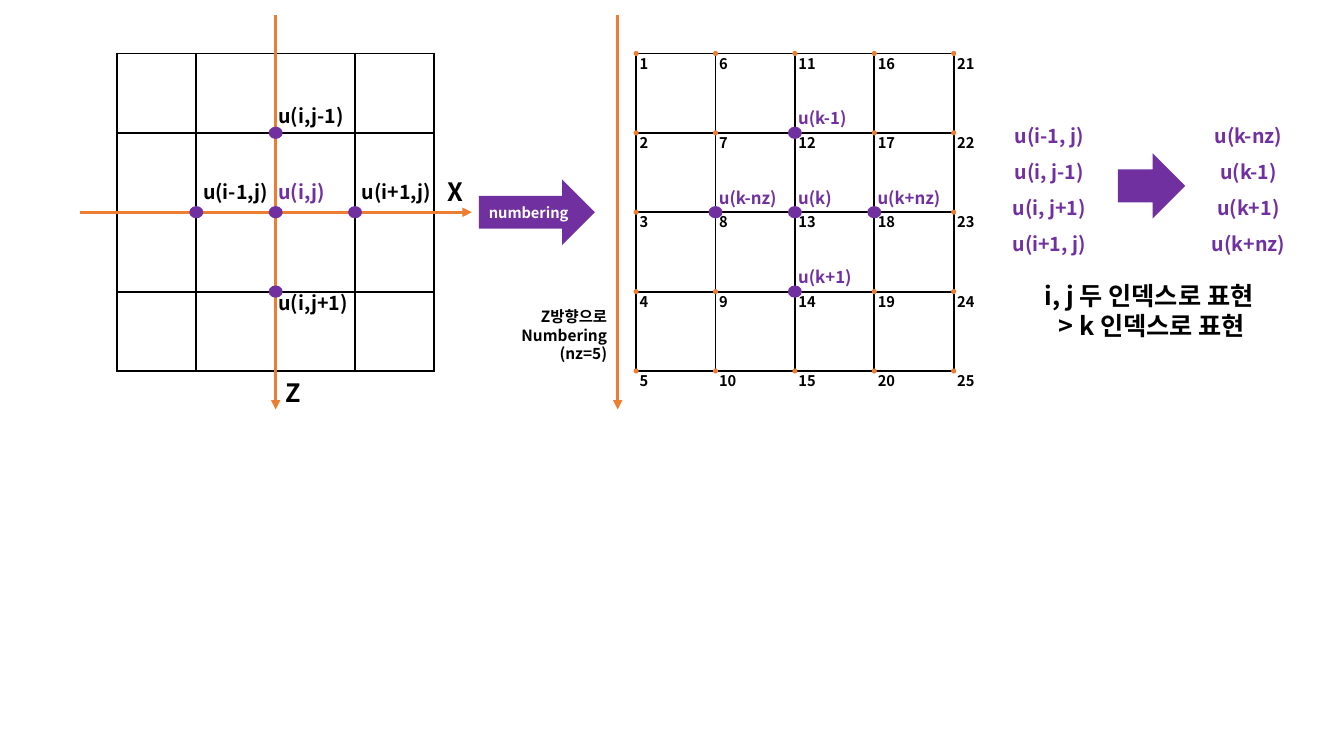
import pptx
import pptx.util
import pptx.dml.color
import pptx.enum.shapes
import pptx.enum.text
import pptx.oxml
import pptx.oxml.ns
import lxml.etree

Pt = pptx.util.Pt
qn = pptx.oxml.ns.qn
SHAPE = pptx.enum.shapes.MSO_SHAPE
ALIGN = pptx.enum.text.PP_ALIGN
BLACK = pptx.dml.color.RGBColor(0x00, 0x00, 0x00)
WHITE = pptx.dml.color.RGBColor(0xFF, 0xFF, 0xFF)
PURPLE = pptx.dml.color.RGBColor(0x70, 0x30, 0xA0)
ORANGE = pptx.dml.color.RGBColor(0xED, 0x7D, 0x31)
FONT = "Noto Sans CJK KR"

CELL, CELLS = 56.7, 4
GRID_TOP, IJ_LEFT, K_LEFT = 38.2, 83.5, 454.4
# Five-point stencil as (column, row) of the grid nodes
STENCIL = [(2, 1), (2, 3), (2, 2), (3, 2), (1, 2)]

deck = pptx.Presentation()
deck.slide_width, deck.slide_height = Pt(960), Pt(540)
slide = deck.slides.add_slide(deck.slide_layouts[6])


def write(parent, text, left, top, width, height, size, color=BLACK, align=ALIGN.LEFT):
    box = parent.add_textbox(Pt(left), Pt(top), Pt(width), Pt(height))
    box.text_frame.word_wrap = True
    box.text_frame.auto_size = pptx.enum.text.MSO_AUTO_SIZE.SHAPE_TO_FIT_TEXT
    box.text_frame.text = text
    for paragraph in box.text_frame.paragraphs:
        paragraph.alignment = align
        font = paragraph.runs[0].font
        font.size, font.bold, font.name = Pt(size), True, FONT
        font.color.rgb = color
        east_asian = lxml.etree.SubElement(paragraph.runs[0].font._element, qn("a:ea"))
        east_asian.set("typeface", FONT)


def draw(parent, kind, left, top, width, height, color):
    shape = parent.add_shape(kind, Pt(left), Pt(top), Pt(width), Pt(height))
    shape.shadow.inherit = False
    shape.fill.solid()
    shape.fill.fore_color.rgb = color
    shape.line.fill.background()
    return shape


# Both grids
for grid_left in (K_LEFT, IJ_LEFT):
    grid = slide.shapes.add_table(CELLS, CELLS, Pt(grid_left), Pt(GRID_TOP),
                                  Pt(CELL * CELLS), Pt(CELL * CELLS)).table
    grid.first_row = grid.horz_banding = False
    for band in [*grid.columns]:
        band.width = Pt(CELL)
    for band in grid.rows:
        band.height = Pt(CELL)
    for cell in grid.iter_cells():
        properties = cell._tc.get_or_add_tcPr()
        for side in ("lnL", "lnR", "lnT", "lnB"):
            properties.append(pptx.oxml.parse_xml(
                f'<a:{side} {pptx.oxml.ns.nsdecls("a")} w="{Pt(1.5)}"><a:solidFill>'
                f'<a:srgbClr val="{BLACK}"/></a:solidFill></a:{side}>'))
        cell.fill.background()

# Axes
center_x, center_y = IJ_LEFT + 2 * CELL, GRID_TOP + 2 * CELL
for x1, y1, x2, y2 in [(center_x, 10.8, center_x, 292.5),
                       (57, center_y, 337, center_y),
                       (441.2, 10.8, 441.2, 292.5)]:
    axis = slide.shapes.add_connector(pptx.enum.shapes.MSO_CONNECTOR.STRAIGHT,
                                      Pt(x1), Pt(y1), Pt(x2), Pt(y2))
    axis.line.color.rgb = ORANGE
    axis.line.width = Pt(2.25)
    lxml.etree.SubElement(axis.line._get_or_add_ln(), qn("a:tailEnd")).set("type", "triangle")
    lxml.etree.SubElement(axis._element.spPr, qn("a:effectLst"))
write(slide.shapes, "X", 312.5, 122.4, 47, 29, 18)
write(slide.shapes, "Z", 196.6, 265.7, 47, 29, 18)
write(slide.shapes, "Z방향으로\nNumbering\n(nz=5)", 363, 216, 77.8, 47.5, 11, align=ALIGN.RIGHT)

# Stencil nodes on both grids
for grid_left in (IJ_LEFT, K_LEFT):
    for column, row in STENCIL:
        draw(slide.shapes, SHAPE.OVAL, grid_left + column * CELL - 5,
             GRID_TOP + row * CELL - 4.4, 10, 8.8, PURPLE)

# Stencil labels: two indices on the left, one index on the right
ij_labels = [("u(i,j-1)", -5.2, -24.2, BLACK), ("u(i,j+1)", -5.2, -3.8, BLACK),
             ("u(i,j)", -5.2, -26.3, PURPLE), ("u(i+1,j)", -2.2, -26.3, BLACK),
             ("u(i-1,j)", -2.2, -26.3, BLACK)]
k_labels = ["u(k-1)", "u(k+1)", "u(k)", "u(k+nz)", "u(k-nz)"]
for (column, row), (ij_label, dx, dy, color), k_label in zip(STENCIL, ij_labels, k_labels):
    x, y = column * CELL, GRID_TOP + row * CELL
    write(slide.shapes, ij_label, IJ_LEFT + x + dx, y + dy, 75, 24.5, 14, color)
    write(slide.shapes, k_label, K_LEFT + x - 4.7, y - 21.3, 75, 21.6, 12, PURPLE)

# Node numbers run down each column; plain nodes get a small dot
for column in range(CELLS + 1):
    for row in range(CELLS + 1):
        x, y = K_LEFT + column * CELL, GRID_TOP + row * CELL
        number = column * (CELLS + 1) + row + 1
        write(slide.shapes, str(number), x - 4.5, y - 2.8, 36, 20.9, 10.5)
        if (column, row) not in STENCIL:
            draw(slide.shapes, SHAPE.OVAL, x - 1.8, y - 1.8, 3.6, 3.6, ORANGE)

# Numbering arrow
numbering = draw(slide.shapes, SHAPE.RIGHT_ARROW, 342, 128.2, 83, 46.8, PURPLE)
numbering.text_frame.text = "numbering"
numbering.text_frame.word_wrap = False
numbering.text_frame.vertical_anchor = pptx.enum.text.MSO_ANCHOR.MIDDLE
caption = numbering.text_frame.paragraphs[0]
caption.alignment = ALIGN.CENTER
caption.runs[0].font.size = Pt(10.5)
caption.runs[0].font.bold = True
caption.runs[0].font.name = FONT
caption.runs[0].font.color.rgb = WHITE

# Mapping from two indices to one
mapping = slide.shapes.add_group_shape().shapes
for left, terms in [(712, ["u(i-1, j)", "u(i, j-1)", "u(i, j+1)", "u(i+1, j)"]),
                    (854.3, ["u(k-nz)", "u(k-1)", "u(k+1)", "u(k+nz)"])]:
    for index, term in enumerate(terms):
        write(mapping, term, left, 85 + index * 25.7, 75, 24.5, 14, PURPLE, ALIGN.CENTER)
draw(mapping, SHAPE.RIGHT_ARROW, 798.5, 109.4, 48.2, 46.8, PURPLE)
write(slide.shapes, "i, j 두 인덱스로 표현\n > k 인덱스로 표현", 720, 196.6, 201.6, 51, 18,
      align=ALIGN.CENTER)

deck.save("out.pptx")
